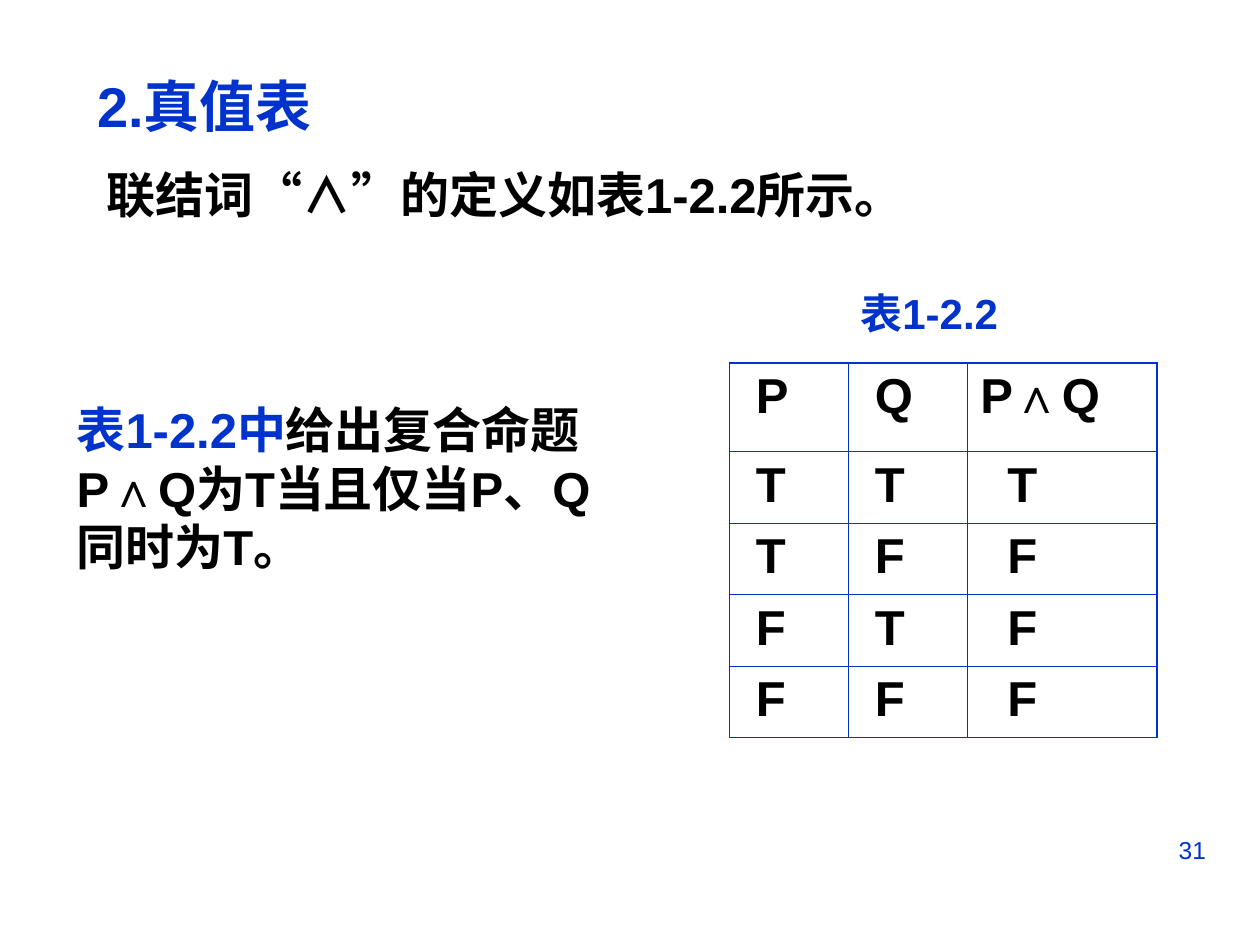
from lxml.etree import SubElement
from pptx import Presentation
from pptx.dml.color import RGBColor
from pptx.enum.text import MSO_ANCHOR, MSO_AUTO_SIZE, PP_ALIGN
from pptx.oxml.ns import qn
from pptx.util import Inches, Pt

BLUE, BLACK = "0033CC", "000000"
THICK, THIN = 1.08, 0.45


def color(hex_value):
    return RGBColor.from_string(hex_value)


class SlideBuilder:
    """Style and current slide; all lengths are percentages of the slide size."""

    font_name = "Arial"

    def __init__(self, presentation):
        self.width = presentation.slide_width
        self.height = presentation.slide_height
        self.slide = presentation.slides.add_slide(presentation.slide_layouts[5])

    def x(self, percent):
        return round(self.width * percent / 100)

    def y(self, percent):
        return round(self.height * percent / 100)

    def box(self, left, top, width, height):
        return self.x(left), self.y(top), self.x(width), self.y(height)

    def fill_paragraph(self, paragraph, runs, size, bold=True, align=PP_ALIGN.LEFT):
        """Fill a paragraph with (text, colour) runs."""
        paragraph.alignment = align
        font = paragraph.font
        font.name, font.size, font.bold = self.font_name, Pt(size), bold
        for text, hex_value in runs:
            run = paragraph.add_run()
            run.text = text
            run.font.color.rgb = color(hex_value)

    def title(self, box, text, size):
        shape = self.slide.shapes.title
        shape.left, shape.top, shape.width, shape.height = self.box(*box)
        frame = shape.text_frame
        frame.vertical_anchor = MSO_ANCHOR.TOP
        frame.auto_size = MSO_AUTO_SIZE.NONE
        self.fill_paragraph(frame.paragraphs[0], [(text, BLUE)], size)

    def text(self, box, runs, size, **style):
        frame = self.slide.shapes.add_textbox(*self.box(*box)).text_frame
        frame.word_wrap = True
        self.fill_paragraph(frame.paragraphs[0], runs, size, **style)

    def border(self, cell, side, width):
        properties = cell._tc.get_or_add_tcPr()
        line = SubElement(properties, qn(f"a:ln{side}"), w=str(Pt(width)))
        fill = SubElement(line, qn("a:solidFill"))
        SubElement(fill, qn("a:srgbClr"), val=BLUE)

    def table(self, left, top, columns, rows, values, size, indent):
        """Draw a table with a thick frame and thin inner lines."""
        shape = self.slide.shapes.add_table(
            len(rows), len(columns), *self.box(left, top, sum(columns), sum(rows)))
        table = shape.table
        table.first_row = table.horz_banding = False
        for column, width in zip(table.columns, columns):
            column.width = self.x(width)
        for row, height in zip(table.rows, rows):
            row.height = self.y(height)
        last_row, last_column = len(rows) - 1, len(columns) - 1
        for r, row_values in enumerate(values):
            for c, value in enumerate(row_values):
                cell = table.cell(r, c)
                outer = {"L": c == 0, "R": c == last_column,
                         "T": r == 0, "B": r == last_row}
                for side, is_outer in outer.items():
                    self.border(cell, side, THICK if is_outer else THIN)
                cell.fill.background()
                cell.margin_left = self.x(indent(r, c))
                self.fill_paragraph(cell.text_frame.paragraphs[0],
                                    [(value, BLACK)], size)


def truth_indent(row, column):
    """Left margin that sets the values under their headings."""
    if column < 2:
        return 2.08
    return 1 if row == 0 else 3.16


def main():
    presentation = Presentation()
    presentation.slide_width, presentation.slide_height = Inches(10), Inches(7.5)
    builder = SlideBuilder(presentation)

    # Heading and introduction
    builder.title((6.7, 6.93, 80.3, 9), "2.真值表", 32)
    builder.text((7.5, 16.8, 79.5, 7.6),
                 [("联结词“∧”的定义如表1-2.2所示。", BLACK)], 28)

    # Truth table of the conjunction, with its caption
    builder.text((67.3, 29.73, 15.8, 6.67), [("表1-2.2", BLUE)], 24)
    cases = [(p, q, "T" if p == q == "T" else "F") for p in "TF" for q in "TF"]
    builder.table(57.9, 38.4, [9.45, 9.45, 15], [9.4] + [7.56] * 4,
                  [("P", "Q", "P∧Q")] + cases, 28, truth_indent)

    # Remark
    builder.text((5.1, 41.6, 45.7, 20),
                 [("表1-2.2中", BLUE),
                  ("给出复合命题P∧Q为T当且仅当P、Q同时为T。", BLACK)], 28)

    # Page number
    builder.text((71.7, 87.73, 25, 6.93), [("31", BLUE)], 14,
                 bold=False, align=PP_ALIGN.RIGHT)

    presentation.save("out.pptx")


if __name__ == "__main__":
    main()
